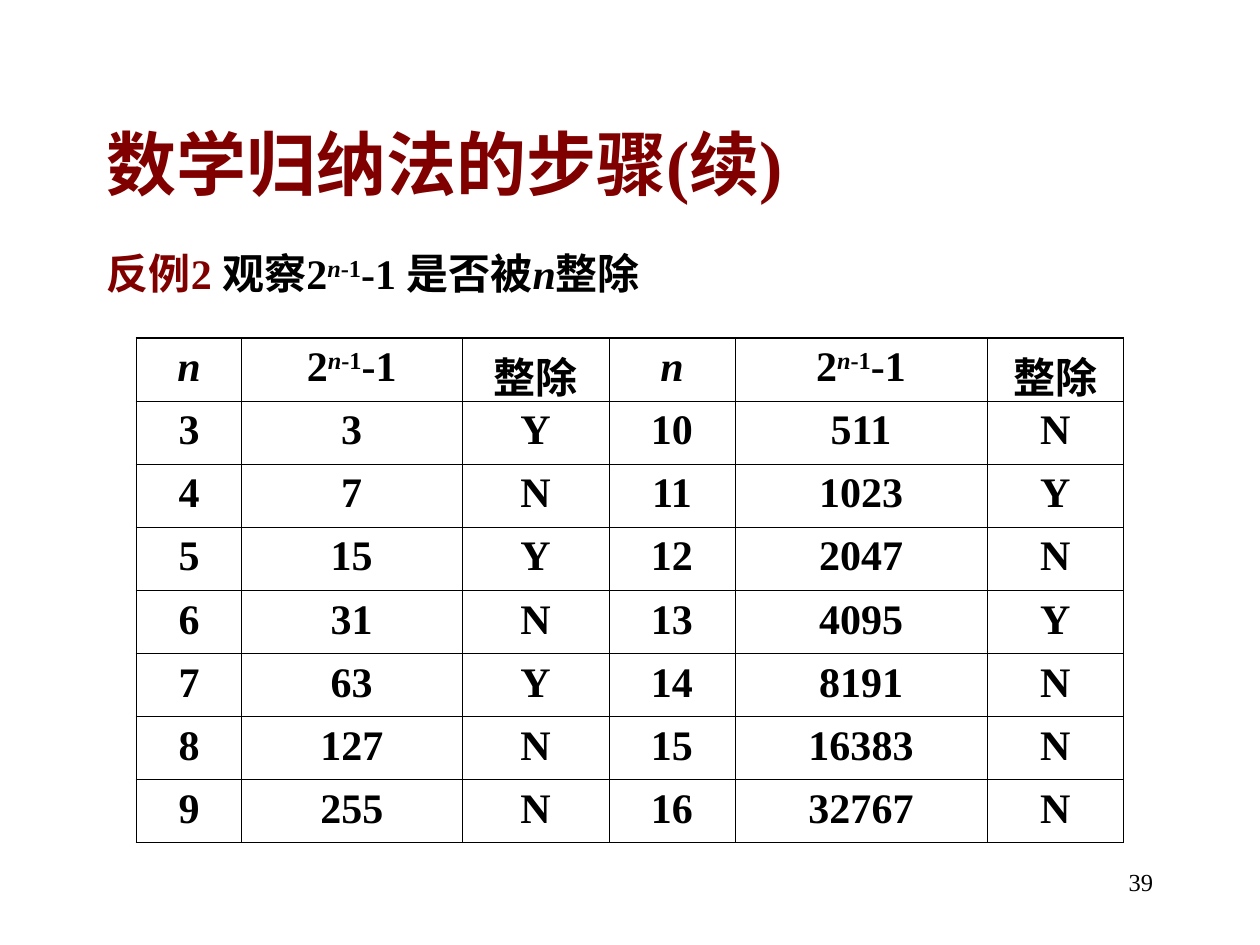
from lxml import etree
from pptx import Presentation
from pptx import util as u
from pptx.dml import color
from pptx.enum import text
from pptx.oxml import ns

UNIT = 1 / 12  # the grid has twelve steps to the inch
BLACK, MAROON, WHITE = "000000", "800000", "FFFFFF"
THIN, THICK = 0.45, 1.08


def rgb(code):
    return color.RGBColor.from_string(code)


def grid(steps):
    return u.Inches(steps * UNIT)


class SlideWriter:
    font = {"name": "Times New Roman", "size": u.Pt(24), "bold": True}

    def __init__(self, deck):
        self.slide = deck.slides.add_slide(deck.slide_layouts[6])

    def fill_para(self, para, spans, layout=None, **style):
        """Write (words, format) pairs into one paragraph."""
        for name, value in (layout or {}).items():
            setattr(para, name, value)
        for words, extra in spans:
            span = para.add_run()
            span.text = words
            values = {**self.font, "color": BLACK, **style, **extra}
            span.font.color.rgb = rgb(values.pop("color"))
            raised = values.pop("raised", False)
            for name, value in values.items():
                setattr(span.font, name, value)
            if raised:
                span.font._element.set("baseline", "30000")

    def text_box(self, place, spans, anchor=text.MSO_ANCHOR.TOP,
                 layout=None, **style):
        box = self.slide.shapes.add_textbox(*map(grid, place))
        box.text_frame.word_wrap = True
        box.text_frame.vertical_anchor = anchor
        para = box.text_frame.paragraphs[0]
        self.fill_para(para, spans, layout, **style)
        return para

    def border(self, cell, widths):
        properties = cell._tc.get_or_add_tcPr()
        for side, width in widths.items():
            line = etree.SubElement(properties, ns.qn(f"a:ln{side}"),
                                    w=str(u.Pt(width)))
            paint = etree.SubElement(line, ns.qn("a:solidFill"))
            etree.SubElement(paint, ns.qn("a:srgbClr"), val=BLACK)

    def table(self, left, top, columns, row_height, rows):
        last_row, last_column = len(rows) - 1, len(columns) - 1
        place = left, top, sum(columns), row_height * len(rows)
        table = self.slide.shapes.add_table(
            len(rows), len(columns), *map(grid, place)).table
        table.first_row = table.horz_banding = False
        for column, width in zip(table.columns, columns):
            column.width = grid(width)
        layout = {"alignment": text.PP_ALIGN.CENTER, "space_before": u.Pt(6)}
        for r, row in enumerate(rows):
            for c, spans in enumerate(row):
                cell = table.cell(r, c)
                outer = {"L": c == 0, "R": c == last_column,
                         "T": r == 0, "B": r == last_row}
                self.border(cell, {side: THICK if edge else THIN
                                   for side, edge in outer.items()})
                cell.fill.solid()
                cell.fill.fore_color.rgb = rgb(WHITE)
                self.fill_para(cell.text_frame.paragraphs[0], spans, layout)


def division_row(n):
    """n, 2^(n-1)-1 and whether n divides it."""
    value = 2 ** (n - 1) - 1
    answer = "N" if value % n else "Y"
    return [[(str(item), {})] for item in (n, value, answer)]


def main():
    deck = Presentation()
    deck.slide_width, deck.slide_height = grid(120), grid(90)
    writer = SlideWriter(deck)

    italic = {"italic": True}
    raised = {"raised": True}
    exponent = [("n", {**italic, **raised}), ("-1", raised)]

    # Title
    writer.text_box((9, 8, 102, 15), [("数学归纳法的步骤(续)", {})],
                    text.MSO_ANCHOR.MIDDLE, size=u.Pt(40), color=MAROON)

    # Statement of the counterexample
    statement = [("反例2 ", {"color": MAROON}), ("观察2", {}), *exponent,
                 ("-1 是否被", {}), ("n", italic), ("整除", {})]
    para = writer.text_box((9, 23, 102, 6), statement,
                           layout={"space_before": u.Pt(6)})
    hanging = para._p.get_or_add_pPr()
    hanging.set("marL", str(grid(4.5)))
    hanging.set("indent", str(-grid(4.5)))

    # Table: n from 3 to 9 beside n from 10 to 16
    heading = [[("n", italic)], [("2", {}), *exponent, ("-1", {})],
               [("整除", {})]]
    rows = [heading * 2]
    rows += [division_row(n) + division_row(n + 7) for n in range(3, 10)]
    writer.table(13, 32.2, (10, 21, 14, 12, 24, 13), 6, rows)

    # Page number
    writer.text_box((86, 82, 25, 6), [("39", {})],
                    layout={"alignment": text.PP_ALIGN.RIGHT},
                    size=u.Pt(14), bold=False)

    deck.save("out.pptx")


if __name__ == "__main__":
    main()
